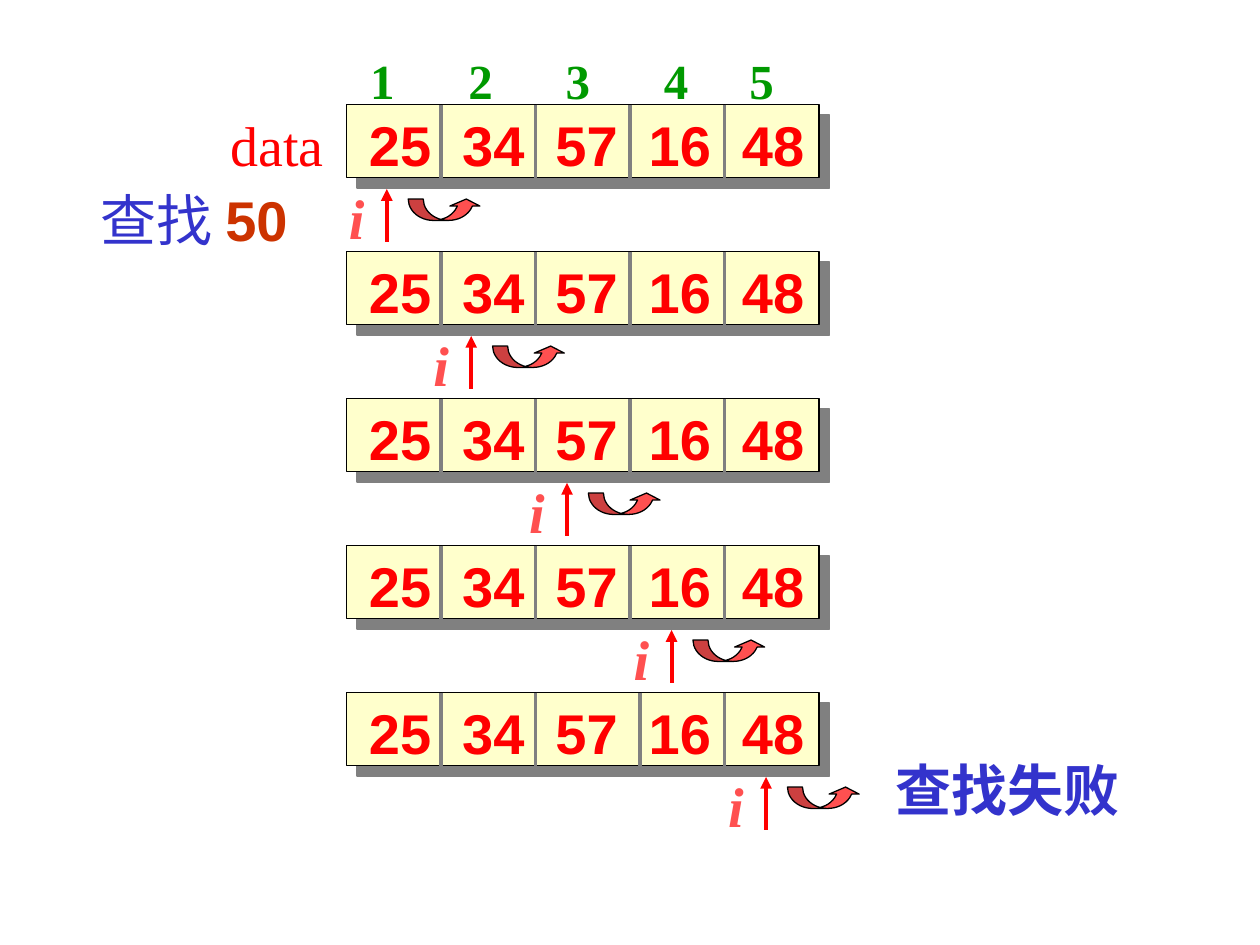
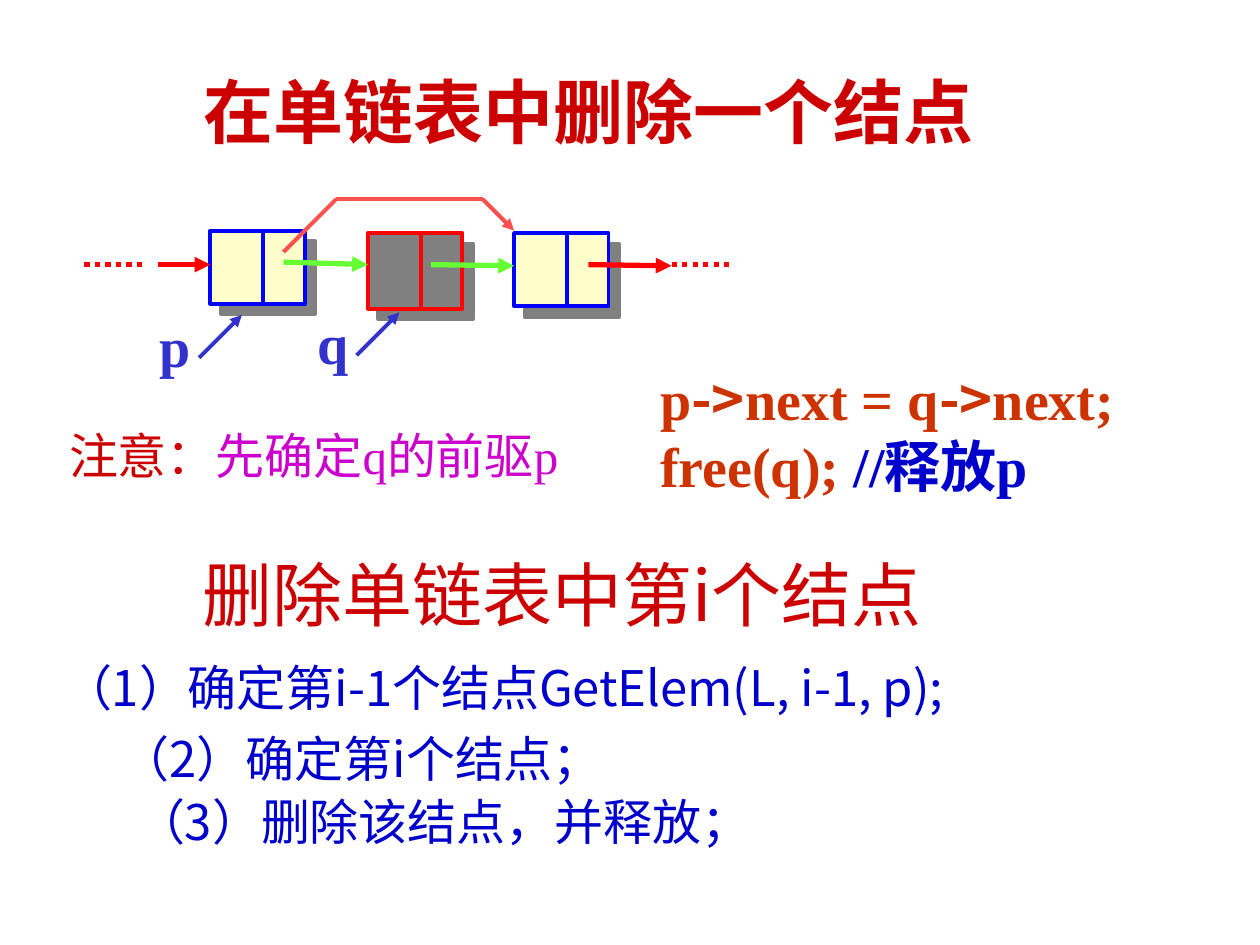
from copy import deepcopy

from lxml import etree
from pptx import Presentation
from pptx.dml.color import RGBColor
from pptx.enum.dml import MSO_LINE
from pptx.enum.shapes import MSO_CONNECTOR, MSO_SHAPE
from pptx.enum.text import MSO_ANCHOR, MSO_AUTO_SIZE, PP_ALIGN
from pptx.oxml import parse_xml
from pptx.oxml.ns import nsdecls, qn
from pptx.util import Inches, Pt

STRAIGHT = MSO_CONNECTOR.STRAIGHT
RECTANGLE = MSO_SHAPE.RECTANGLE
CURVED_ARROW = MSO_SHAPE.CURVED_UP_ARROW
DOTTED = MSO_LINE.ROUND_DOT
FIT_SHAPE = MSO_AUTO_SIZE.SHAPE_TO_FIT_TEXT
NO_FIT = MSO_AUTO_SIZE.NONE

RED = RGBColor(0xFF, 0x00, 0x00)
DARK_RED = RGBColor(0xCC, 0x00, 0x00)
CORAL = RGBColor(0xFF, 0x50, 0x50)
RUST = RGBColor(0xCC, 0x33, 0x00)
GREEN = RGBColor(0x00, 0x99, 0x00)
LIME = RGBColor(0x66, 0xFF, 0x33)
INDIGO = RGBColor(0x33, 0x33, 0xCC)
BLUE = RGBColor(0x00, 0x00, 0xFF)
NAVY = RGBColor(0x00, 0x00, 0xCC)
MAGENTA = RGBColor(0xCC, 0x00, 0xCC)
CREAM = RGBColor(0xFF, 0xFF, 0xCC)
GREY = RGBColor(0x80, 0x80, 0x80)
BLACK = RGBColor(0x00, 0x00, 0x00)

TIMES = "Times New Roman"
ARIAL = "Arial"
NOTO = "Noto Sans CJK SC"

NO_EFFECT = parse_xml(f"<a:effectLst {nsdecls('a')}/>")
HARD_SHADOW = parse_xml(
    f"<a:effectLst {nsdecls('a')}>"
    '<a:outerShdw dist="107950" dir="2700000" algn="ctr" rotWithShape="0">'
    '<a:srgbClr val="808080"/></a:outerShdw></a:effectLst>')


def add_text(slide, place, lines, size, tabs=(), holder=None):
    """Write lines of (text, font, colour, style) runs in a text box or in the given placeholder."""
    left, top, width, height = map(Inches, place)
    shape = holder or slide.shapes.add_textbox(left, top, width, height)
    shape.left, shape.top, shape.width, shape.height = left, top, width, height
    frame = shape.text_frame
    frame.word_wrap = bool(tabs or holder)
    frame.auto_size = NO_FIT if holder else FIT_SHAPE
    for number, runs in enumerate(lines):
        paragraph = frame.add_paragraph() if number else frame.paragraphs[0]
        if tabs:
            stops = etree.SubElement(paragraph._p.get_or_add_pPr(), qn("a:tabLst"))
            for stop in tabs:
                etree.SubElement(stops, qn("a:tab"), pos=str(Inches(stop)), algn="l")
        for text, font, colour, style in runs:
            run = paragraph.add_run()
            run.text = text
            run.font.size = Pt(size)
            run.font.bold = "b" in style
            run.font.italic = "i" in style
            run.font.color.rgb = colour
            run.font.name = font
            etree.SubElement(run._r.rPr, qn("a:ea"), typeface=NOTO)
    return shape


def add_line(slide, ends, colour, width=2.25, arrow=False):
    line = slide.shapes.add_connector(STRAIGHT, *map(Inches, ends))
    line.line.color.rgb = colour
    line.line.width = Pt(width)
    properties = line._element.spPr
    if arrow:
        etree.SubElement(properties.find(qn("a:ln")), qn("a:tailEnd"), type="triangle")
    properties.append(deepcopy(NO_EFFECT))
    return line


deck = Presentation()
deck.slide_width, deck.slide_height = Inches(10), Inches(7.5)

# Slide 1: sequential search that fails
search = deck.slides.add_slide(deck.slide_layouts[6])
values = "\t".join(["25", "34", "57", "16", "48"])
indexes = "\t".join("12345")
value_stops = [0.74 * n for n in range(1, 5)]
index_stops = [0.78, 1.55, 2.33, 3.01]
pointers = [3.07, 3.74, 4.5, 5.33, 6.08]
third_dividers = [5, 5, 5, 5, 5.08]

for row, (pointer, third_divider) in enumerate(zip(pointers, third_dividers)):
    top = 0.83 + row * 7 / 6
    array = search.shapes.add_shape(
        RECTANGLE, Inches(2.75), Inches(top), Inches(3.75), Inches(0.58))
    array.fill.solid()
    array.fill.fore_color.rgb = CREAM
    array.line.color.rgb = BLACK
    array.line.width = Pt(0.75)
    array._element.spPr.append(deepcopy(HARD_SHADOW))
    add_text(search, (2.83, top, 3.83, 0.64), [[(values, ARIAL, RED, "b")]], 32, value_stops)
    for divider in (3.5, 4.25, third_divider, 5.75):
        add_line(search, (divider, top, divider, top + 0.58), GREY)

    add_line(search, (pointer, top + 1.09, pointer, top + 0.67), RED, arrow=True)
    add_text(search, (pointer - 0.4, top + 0.58, 0.32, 0.64), [[("i", TIMES, CORAL, "bi")]], 32)
    step = search.shapes.add_shape(
        CURVED_ARROW, Inches(pointer + 0.17), Inches(top + 0.75), Inches(0.58), Inches(0.17))
    for number, amount in enumerate((0.7, 1.4, 0.33)):
        step.adjustments[number] = amount
    step.fill.solid()
    step.fill.fore_color.rgb = CORAL
    step.line.color.rgb = BLACK
    step.line.width = Pt(0.75)
    step.shadow.inherit = False

add_text(search, (2.84, 0.35, 3.6, 0.57), [[(indexes, TIMES, GREEN, "b")]], 28, index_stops)
add_text(search, (1.73, 0.83, 0.94, 0.64), [[("data", TIMES, RED, "")]], 32)
add_text(search, (0.7, 1.42, 1.91, 0.64),
         [[("查找 ", TIMES, INDIGO, ""), ("50", ARIAL, RUST, "b")]], 32)
add_text(search, (7.01, 5.95, 1.98, 0.64), [[("查找失败", TIMES, INDIGO, "b")]], 32)

# Slide 2: deleting a node from a linked list
deletion = deck.slides.add_slide(deck.slide_layouts[1])
title = add_text(deletion, (0.42, 0.5, 8.5, 0.75),
                 [[("在单链表中删除一个结点", NOTO, DARK_RED, "b")]], 40,
                 holder=deletion.shapes.title)
title.text_frame.vertical_anchor = MSO_ANCHOR.MIDDLE
title.text_frame.paragraphs[0].alignment = PP_ALIGN.CENTER

nodes = [
    (1.67, 1.83, 0.58, CREAM, BLUE),
    (2.92, 1.85, 0.6, GREY, RED),
    (4.08, 1.85, 0.58, CREAM, BLUE),
]
for left, top, height, fill, outline in nodes:
    for offset, width in ((0, 0.42), (0.42, 0.33)):
        field = deletion.shapes.add_shape(
            RECTANGLE, Inches(left + offset), Inches(top), Inches(width), Inches(height))
        field.fill.solid()
        field.fill.fore_color.rgb = fill
        field.line.color.rgb = outline
        field.line.width = Pt(2.25)
        field._element.spPr.append(deepcopy(HARD_SHADOW))

for left in (0.67, 5.33):
    add_line(deletion, (left, 2.1, left + 0.5, 2.1), RED, 3).line.dash_style = DOTTED

links = [
    ((1.25, 2.1, 1.67, 2.1), RED),
    ((2.25, 2.08, 2.92, 2.1), LIME),
    ((3.42, 2.1, 4.08, 2.11), LIME),
    ((4.67, 2.1, 5.33, 2.11), RED),
]
for ends, colour in links:
    add_line(deletion, ends, colour, 3, arrow=True)

add_line(deletion, (2.25, 2, 2.67, 1.58), CORAL)
add_line(deletion, (2.67, 1.58, 3.83, 1.58), CORAL)
add_line(deletion, (3.83, 1.58, 4.08, 1.83), CORAL, arrow=True)

for name, left, top in (("p", 1.17, 2.42), ("q", 2.42, 2.4)):
    add_text(deletion, (left, top, 0.45, 0.64), [[(name, TIMES, INDIGO, "b")]], 32)
    add_line(deletion, (left + 0.41, top + 0.42, left + 0.75, top + 0.08), INDIGO, arrow=True)

code = [
    [("p", TIMES, RUST, "b"), ("->", NOTO, RUST, "b"), ("next = q", TIMES, RUST, "b"),
     ("->", NOTO, RUST, "b"), ("next;", TIMES, RUST, "b")],
    [("free(q); ", TIMES, RUST, "b"), ("//释放p", TIMES, NAVY, "b")],
]
add_text(deletion, (5.14, 2.84, 4.28, 1.24), code, 32)
add_text(deletion, (0.45, 3.33, 4.36, 0.57),
         [[("注意：", TIMES, DARK_RED, ""), ("先确定q的前驱p", TIMES, MAGENTA, "")]], 28)
add_text(deletion, (1.51, 4.33, 6.35, 0.77),
         [[("删除单链表中第i个结点", NOTO, DARK_RED, "")]], 40)

steps = [
    ("（1）确定第i-1个结点GetElem(L, i-1, p);", 0, 0),
    ("（2）确定第i个结点；", 0.46, 7),
    ("（3）删除该结点，并释放；", 0.58, 2),
]
step_list = add_text(deletion, (0.4, 5.17, 9.15, 1.85),
                     [[(text, NOTO, NAVY, "")] for text, _, _ in steps], 28,
                     holder=deletion.placeholders[1])
for paragraph, (_, indent, gap) in zip(step_list.text_frame.paragraphs, steps):
    paragraph.space_before = Pt(gap)
    properties = paragraph._p.get_or_add_pPr()
    properties.set("marL", str(Inches(indent)))
    properties.set("indent", "0")
    etree.SubElement(properties, qn("a:buNone"))

deck.save("out.pptx")
